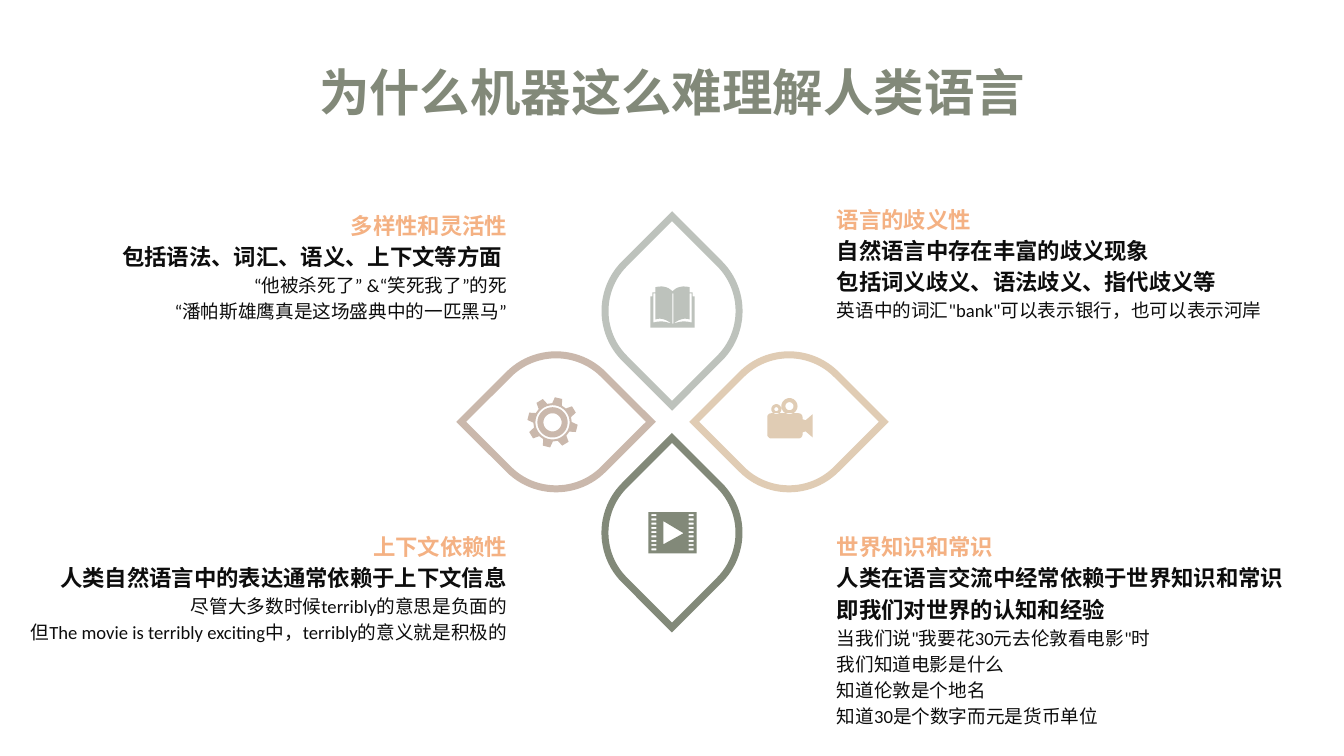
from math import cos, radians, sin

from lxml.etree import SubElement
from pptx import Presentation
from pptx.dml.color import RGBColor
from pptx.enum.shapes import MSO_SHAPE
from pptx.enum.text import MSO_AUTO_SIZE, PP_ALIGN
from pptx.oxml.ns import qn
from pptx.util import Inches, Pt

SAGE = RGBColor(0x82, 0x89, 0x79)
SILVER = RGBColor(0xBD, 0xC2, 0xBC)
TAUPE = RGBColor(0xCA, 0xB8, 0xAC)
SAND = RGBColor(0xE0, 0xCC, 0xB4)
PEACH = RGBColor(0xF4, 0xB1, 0x83)
INK = RGBColor(0x0D, 0x0D, 0x0D)
FONT = "Calibri"
UNITS = 1000  # freeform units per inch


def arc(cx, cy, radius, start=0, end=360, steps=36):
    angles = [radians(start + (end - start) * i / steps) for i in range(steps + 1)]
    return [(cx + radius * cos(a), cy + radius * sin(a)) for a in angles]


def bezier(p0, p1, p2, p3, steps=10):
    points = []
    for i in range(steps + 1):
        t = i / steps
        weights = ((1 - t) ** 3, 3 * t * (1 - t) ** 2, 3 * t * t * (1 - t), t ** 3)
        points.append(tuple(sum(w * p[k] for w, p in zip(weights, (p0, p1, p2, p3)))
                            for k in (0, 1)))
    return points


def box(x, y, w, h):
    return [(x, y), (x + w, y), (x + w, y + h), (x, y + h)]


def mirror(points, axis):
    return [(2 * axis - x, y) for x, y in reversed(points)]


def gear_contours(cx=5.48, cy=4.19, teeth=8):
    outline = []
    for i in range(teeth):
        middle = -76 + i * 360 / teeth
        for offset, radius in ((-15, 0.19), (-8.5, 0.25), (8.5, 0.25), (15, 0.19)):
            a = radians(middle + offset)
            outline.append((cx + radius * cos(a), cy + radius * sin(a)))
    return [outline] + [arc(cx, cy, r) for r in (0.17, 0.15, 0.09)]


def book_contours(spine=6.67):
    cover = bezier((6.67, 2.89), (6.71, 2.85), (6.76, 2.83), (6.84, 2.85)) + [
        (6.84, 2.9), (6.87, 2.9), (6.87, 2.94), (6.89, 2.94), (6.89, 3.25)]
    page_edge = (bezier((6.68, 3.21), (6.75, 3.19), (6.78, 3.18), (6.86, 3.2))
                 + [(6.86, 2.91), (6.84, 2.91)]
                 + bezier((6.84, 3.17), (6.79, 3.15), (6.73, 3.17), (6.68, 3.21)))
    return [cover + mirror(cover, spine), page_edge, mirror(page_edge, spine),
            box(spine, 2.91, 0.01, 0.3)]


def camera_contours():
    r = 0.04
    left, top, right, bottom = 7.61, 4.1, 7.96, 4.35
    lens = [(right, 4.16), (7.99, 4.17), (8.06, 4.11),
            (8.06, 4.34), (7.99, 4.28), (right, 4.29)]
    body = (arc(left + r, top + r, r, 180, 270, 6)
            + arc(right - r, top + r, r, 270, 360, 6) + lens
            + arc(right - r, bottom - r, r, 0, 90, 6)
            + arc(left + r, bottom - r, r, 90, 180, 6))
    return [body, arc(7.83, 4.03, 0.08), arc(7.83, 4.03, 0.04),
            arc(7.7, 4.06, 0.05), arc(7.7, 4.06, 0.02)]


def film_contours():
    holes = [box(x, 5.1 + row * 0.0425, 0.05, 0.02)
             for x in (6.46, 6.83) for row in range(9)]
    return [box(6.43, 5.08, 0.48, 0.41), [(6.58, 5.17), (6.78, 5.29), (6.58, 5.4)]] + holes


def add_text(p, text, size, color, bold=False, align=PP_ALIGN.LEFT, before=0):
    p.alignment = align
    p.space_before = Pt(before)
    r = p.add_run()
    r.text = text
    r.font.size, r.font.bold, r.font.name = Pt(size), bold, FONT
    r.font.color.rgb = color
    SubElement(r.font._element, qn("a:ea"), typeface=FONT)


class PetalSlide:
    def __init__(self, prs):
        self.slide = prs.slides.add_slide(prs.slide_layouts[6])
        self.shapes = self.slide.shapes

    def textbox(self, x, y, w, h):
        tf = self.shapes.add_textbox(Inches(x), Inches(y), Inches(w), Inches(h)).text_frame
        tf.auto_size = MSO_AUTO_SIZE.SHAPE_TO_FIT_TEXT
        return tf

    def title(self, text):
        tf = self.textbox(3.03, 0.56, 7.27, 0.71)
        tf.word_wrap = False
        add_text(tf.paragraphs[0], text, 36, SAGE, bold=True, align=PP_ALIGN.CENTER)

    def topic(self, x, y, w, h, align, heading, points, examples):
        tf = self.textbox(x, y, w, h)
        tf.word_wrap = True
        tf.margin_left = tf.margin_right = tf.margin_top = tf.margin_bottom = 0
        add_text(tf.paragraphs[0], heading, 16, PEACH, bold=True, align=align)
        for text in points:
            add_text(tf.add_paragraph(), text, 16, INK, bold=True, align=align, before=3.2)
        for text in examples:
            add_text(tf.add_paragraph(), text, 13.3, INK, align=align, before=2.66)

    def petal(self, x, y, rotation, color):
        side = Inches(1.33)
        sp = self.shapes.add_shape(MSO_SHAPE.ROUND_2_DIAG_RECTANGLE,
                                   Inches(x), Inches(y), side, side)
        sp.adjustments[0], sp.adjustments[1] = 0.5, 0
        sp.rotation = rotation
        sp.shadow.inherit = False
        sp.fill.background()
        sp.line.color.rgb = color
        sp.line.width = Pt(5)
        SubElement(sp.line._ln, qn("a:miter"), lim="800000")

    def icon(self, contours, color):
        """Draw one filled shape; contours inside others become holes."""
        scaled = [[(x * UNITS, y * UNITS) for x, y in c] for c in contours]
        builder = self.shapes.build_freeform(*scaled[0][0], scale=Inches(1) / UNITS)
        builder.add_line_segments(scaled[0][1:], close=True)
        for contour in scaled[1:]:
            builder.move_to(*contour[0])
            builder.add_line_segments(contour[1:], close=True)
        sp = builder.convert_to_shape()
        sp.shadow.inherit = False
        sp.fill.solid()
        sp.fill.fore_color.rgb = color
        sp.line.fill.background()


def main():
    prs = Presentation()
    prs.slide_width, prs.slide_height = Inches(13.33), Inches(7.5)
    s = PetalSlide(prs)
    s.title("为什么机器这么难理解人类语言")

    for x, y, rotation, color, contours in (
            (6, 2.42, 135, SILVER, book_contours()),
            (4.85, 3.52, 45, TAUPE, gear_contours()),
            (6, 4.62, 315, SAGE, film_contours()),
            (7.16, 3.52, 45, SAND, camera_contours())):
        s.petal(x, y, rotation, color)
        s.icon(contours, color)

    s.topic(8.3, 2.04, 4.34, 1.18, PP_ALIGN.LEFT, "语言的歧义性",
            ["自然语言中存在丰富的歧义现象", "包括词义歧义、语法歧义、指代歧义等"],
            ["英语中的词汇\"bank\"可以表示银行，也可以表示河岸"])
    s.topic(8.3, 5.29, 4.76, 1.99, PP_ALIGN.LEFT, "世界知识和常识",
            ["人类在语言交流中经常依赖于世界知识和常识", "即我们对世界的认知和经验"],
            ["当我们说\"我要花30元去伦敦看电影\"时", "我们知道电影是什么",
             "知道伦敦是个地名", "知道30是个数字而元是货币单位"])
    s.topic(0.44, 2.1, 4.59, 1.13, PP_ALIGN.RIGHT, "多样性和灵活性",
            ["包括语法、词汇、语义、上下文等方面 "],
            ["“他被杀死了” &“笑死我了”的死", "“潘帕斯雄鹰真是这场盛典中的一匹黑马”"])
    s.topic(0, 5.29, 5.03, 1.13, PP_ALIGN.RIGHT, "上下文依赖性",
            ["人类自然语言中的表达通常依赖于上下文信息"],
            ["尽管大多数时候terribly的意思是负面的",
             "但The movie is terribly exciting中，terribly的意义就是积极的"])
    prs.save("out.pptx")


if __name__ == "__main__":
    main()
